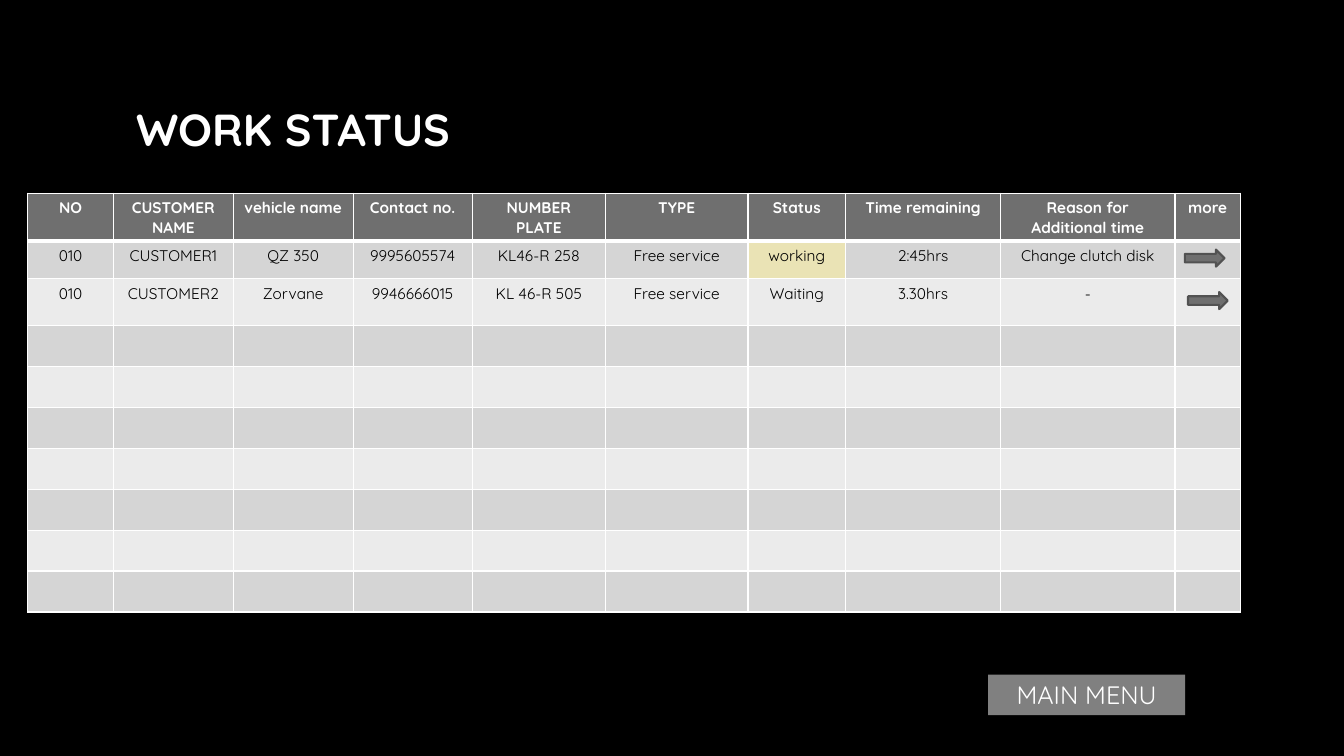
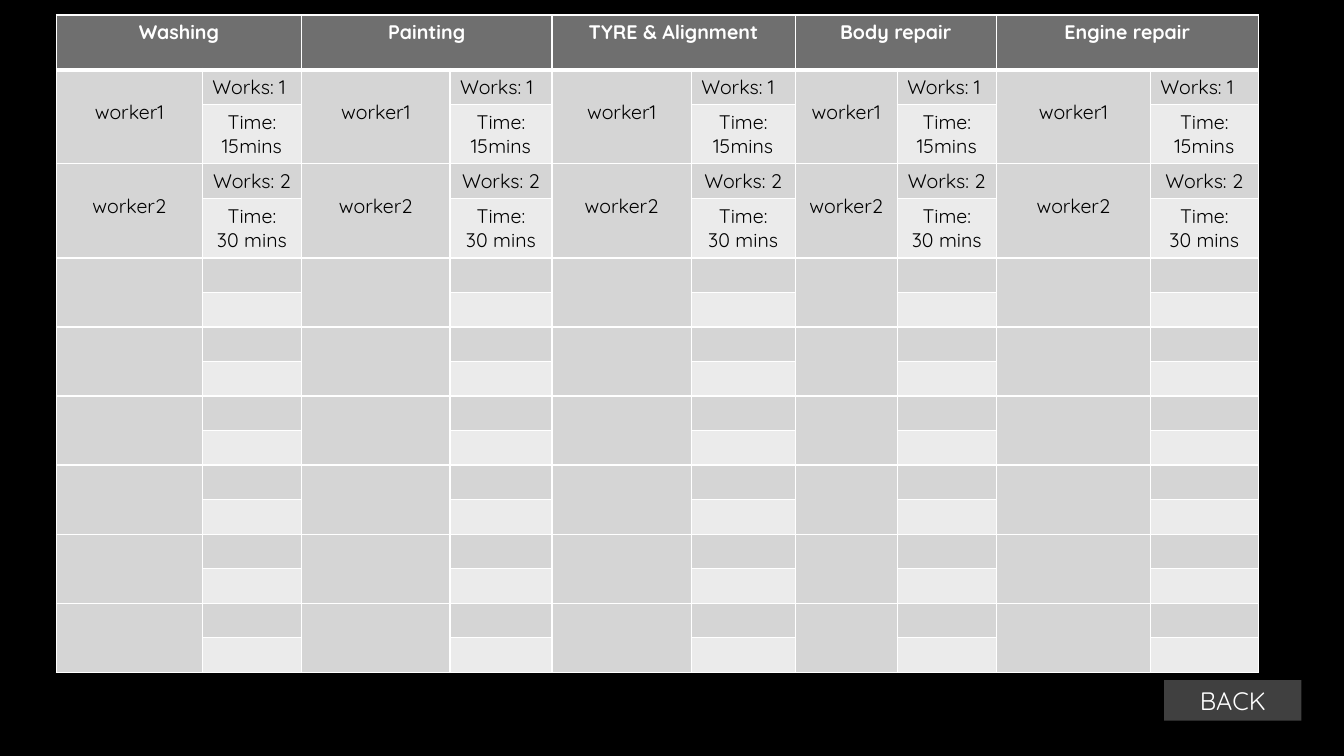
from pptx import Presentation
from pptx.dml.color import RGBColor
from pptx.enum.shapes import MSO_SHAPE as SHAPE
from pptx.enum.text import MSO_ANCHOR as ANCHOR, PP_ALIGN as ALIGN
from pptx.oxml.ns import qn
from pptx.util import Cm, Pt
from lxml.etree import SubElement

FONT = "Quicksand"
BLACK, WHITE, HEAD = "000000", "FFFFFF", "6F6F6F"
BANDS = ("D5D5D5", "EBEBEB")
BUSY, EDGE = "EAE3B5", "525252"

STATUS_COLS = [2.16, 3.02, 3.02, 3, 3.36, 3.59, 2.46, 3.91, 4.39, 1.65]
STATUS_ROWS = [1.21, 0.94, 1.19] + [1.03] * 7
STATUS_TEXT = [
    ["NO", "CUSTOMER NAME", "vehicle name", "Contact no.", "NUMBER PLATE", "TYPE",
     "Status", "Time remaining", "Reason for Additional time", "more"],
    ["010", "CUSTOMER1", "QZ 350", "9995605574", "KL46-R 258", "Free service",
     "working", "2:45hrs", "Change clutch disk", ""],
    ["010", "CUSTOMER2", "Zorvane", "9946666015", "KL 46-R 505", "Free service",
     "Waiting", "3.30hrs", "-", ""],
]

TEAMS = ["Washing", "Painting", "TYRE & Alignment", "Body repair", "Engine repair"]
TEAM_COLS = [3.68, 2.5, 3.74, 2.57, 3.51, 2.62, 2.57, 2.5, 3.88, 2.72]
TEAM_ROWS = [1.38] + [0.87, 1.5] * 2 + [0.87] * 12
WORKERS = [
    ("worker1", "Works: 1", ALIGN.LEFT, ["Time: 15mins"]),
    ("worker2", "Works: 2", ALIGN.CENTER, ["Time:", "30 mins"]),
]


def rgb(value):
    return RGBColor.from_string(value)


def paint(fill, color):
    fill.solid()
    fill.fore_color.rgb = rgb(color)


def write(tf, lines, size, color=BLACK, bold=False, align=ALIGN.CENTER):
    fmt = {"name": FONT, "size": Pt(size), "bold": bold}
    for i, line in enumerate(lines):
        p = tf.paragraphs[0] if i == 0 else tf.add_paragraph()
        p.alignment = align
        r = p.add_run()
        r.text = line
        for key, value in fmt.items():
            setattr(r.font, key, value)
        r.font.color.rgb = rgb(color)


def add_borders(cell, widths):
    tc_pr = cell._tc.get_or_add_tcPr()
    for side, width in widths.items():
        ln = SubElement(tc_pr, qn("a:ln" + side), w=str(Pt(width)))
        SubElement(SubElement(ln, qn("a:solidFill")), qn("a:srgbClr"), val=WHITE)


def add_grid(s, box, cols, rows, size):
    x, y = box
    table = s.shapes.add_table(len(rows), len(cols), Cm(x), Cm(y),
                               Cm(sum(cols)), Cm(sum(rows))).table
    table.first_row = table.horz_banding = False
    for col, width in zip(table.columns, cols):
        col.width = Cm(width)
    for i, (row, height) in enumerate(zip(table.rows, rows)):
        row.height = Cm(height)
        for cell in row.cells:
            add_borders(cell, {"L": 1, "R": 1, "T": 3 if i == 1 else 1,
                               "B": 3 if i == 0 else 1})
            paint(cell.fill, HEAD if i == 0 else BANDS[(i - 1) % 2])
            end = cell.text_frame.paragraphs[0]._p.get_or_add_endParaRPr()
            end.set("sz", str(size * 100))
    return table


def add_shape(s, kind, box, color):
    sp = s.shapes.add_shape(kind, *map(Cm, box))
    sp.shadow.inherit = False
    paint(sp.fill, color)
    sp.line.fill.background()
    return sp


def add_button(s, box, label, color):
    sp = add_shape(s, SHAPE.RECTANGLE, box, color)
    tf = sp.text_frame
    tf.vertical_anchor = ANCHOR.MIDDLE
    write(tf, [label], 18, WHITE)


def add_arrow(s, box):
    sp = add_shape(s, SHAPE.RIGHT_ARROW, box, HEAD)
    paint(sp.line.fill, EDGE)
    sp.line.width = Pt(1.5)


def add_title(s, box, text):
    tf = s.shapes.add_textbox(*map(Cm, box)).text_frame
    tf.word_wrap = True
    tf.vertical_anchor = ANCHOR.MIDDLE
    write(tf, [text], 32, WHITE, True, ALIGN.LEFT)


def add_status_table(s, box):
    x, y = box
    table = add_grid(s, box, STATUS_COLS, STATUS_ROWS, 11)
    for i, row in enumerate(STATUS_TEXT):
        for j, text in enumerate(row):
            if text:
                write(table.cell(i, j).text_frame, [text], 11,
                      BLACK if i else WHITE, i == 0)
    paint(table.cell(1, 6).fill, BUSY)
    more = x + sum(STATUS_COLS[:-1])
    for dx, dy in ((0.25, 1.42), (0.33, 2.49)):
        add_arrow(s, (more + dx, y + dy, 1, 0.43))


def add_team_table(s, box):
    table = add_grid(s, box, TEAM_COLS, TEAM_ROWS, 14)
    for k, team in enumerate(TEAMS):
        left, right = 2 * k, 2 * k + 1
        head = table.cell(0, left)
        head.merge(table.cell(0, right))
        write(head.text_frame, [team], 14, WHITE, True)
        for top in range(1, len(TEAM_ROWS), 2):
            table.cell(top, left).merge(table.cell(top + 1, left))
        for n, (name, works, align, time) in enumerate(WORKERS):
            top = 2 * n + 1
            cell = table.cell(top, left)
            cell.vertical_anchor = ANCHOR.MIDDLE
            cell.margin_bottom = Cm(0.36)
            write(cell.text_frame, [name], 14)
            write(table.cell(top, right).text_frame, [works], 14, align=align)
            write(table.cell(top + 1, right).text_frame, time, 14)


def add_slide(prs):
    s = prs.slides.add_slide(prs.slide_layouts[6])
    paint(s.background.fill, BLACK)
    return s


def work_status_slide(prs):
    s = add_slide(prs)
    add_title(s, (3.18, 1.7, 16.8, 3.1), "WORK STATUS")
    add_button(s, (24.9, 17, 4.97, 1.02), "MAIN MENU", "808080")
    add_status_table(s, (0.7, 4.87))


def teams_slide(prs):
    s = add_slide(prs)
    add_team_table(s, (1.42, 0.38))
    add_button(s, (29.34, 17.14, 3.46, 1.02), "BACK", "404040")


def main():
    prs = Presentation()
    prs.slide_width, prs.slide_height = Cm(33.87), Cm(19.05)
    work_status_slide(prs)
    teams_slide(prs)
    prs.save("out.pptx")


if __name__ == "__main__":
    main()
